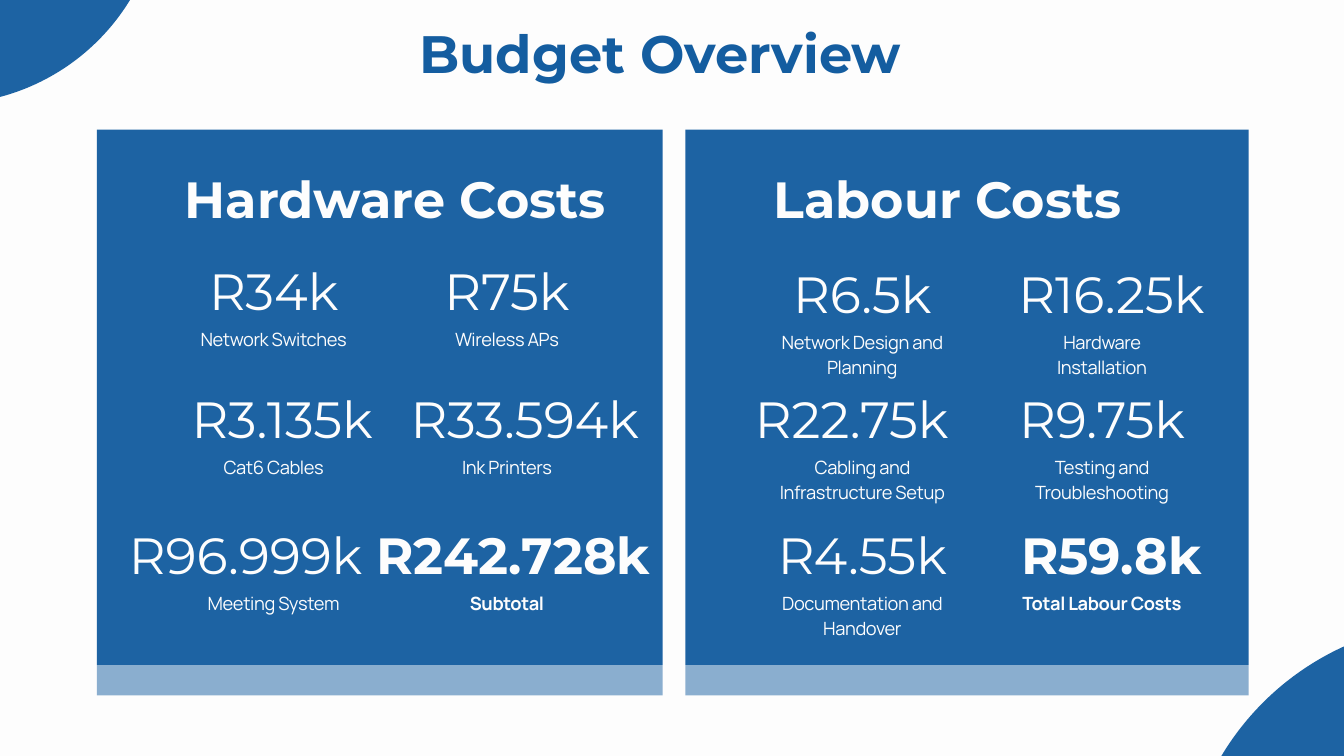
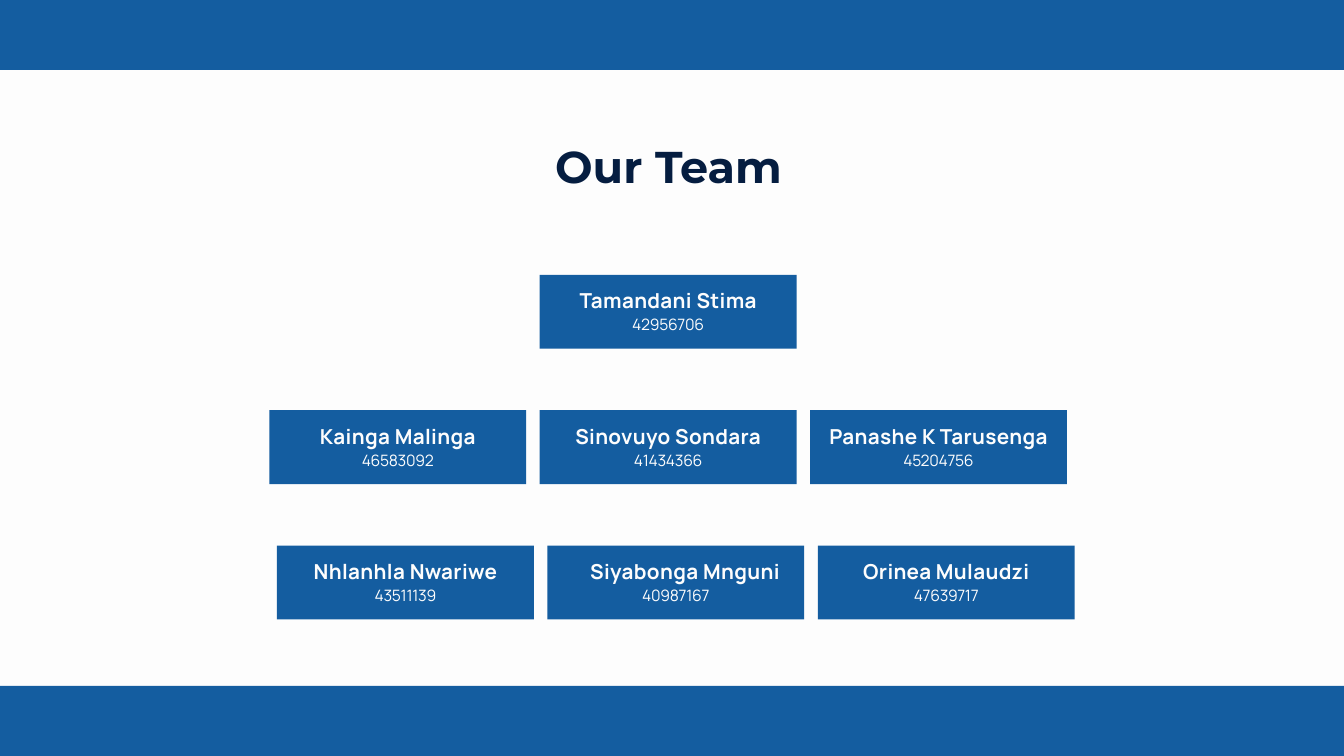
from collections import namedtuple

from lxml.etree import SubElement
from pptx import Presentation
from pptx.dml.color import RGBColor
from pptx.enum.shapes import MSO_SHAPE
from pptx.enum.text import MSO_ANCHOR, MSO_AUTO_SIZE, PP_ALIGN
from pptx.oxml.ns import qn
from pptx.util import Cm, Pt

BLUE = RGBColor(0x14, 0x5D, 0xA0)
NAVY = RGBColor(0x05, 0x1D, 0x40)
WHITE = RGBColor(0xFD, 0xFD, 0xFD)

# Text styles: sizes and line heights in points, spacing in hundredths of a point
Style = namedtuple("Style", "font size line color bold align spacing")
LEFT, CENTER = PP_ALIGN.LEFT, PP_ALIGN.CENTER
BUDGET_TITLE = Style("Montserrat", 56.4, 79, BLUE, True, LEFT, 0)
TEAM_TITLE = Style("Montserrat", 47.7, 66.8, NAVY, True, CENTER, 0)
HEADING = Style("Montserrat", 54.5, 76.3, WHITE, True, LEFT, 0)
AMOUNT = Style("Montserrat", 54.5, 76.3, WHITE, False, CENTER, 0)
LABEL = Style("Manrope", 19.6, 27.4, WHITE, False, CENTER, -40)
NAME = Style("Manrope", 22.1, 31, WHITE, True, CENTER, 40)
NUMBER = Style("Manrope", 16.8, 23.6, WHITE, False, CENTER, -30)


def add_block(slide, kind, left, top, width, height, opacity=100):
    shape = slide.shapes.add_shape(kind, Cm(left), Cm(top), Cm(width), Cm(height))
    shape.shadow.inherit = False
    shape.line.fill.background()
    shape.fill.solid()
    shape.fill.fore_color.rgb = BLUE
    if opacity < 100:
        color = shape.fill._xPr.find(qn("a:solidFill"))[0]
        SubElement(color, qn("a:alpha"), val=str(opacity * 1000))


def write(shape, left, top, width, height, text, style):
    shape.left, shape.top = Cm(left), Cm(top)
    shape.width, shape.height = Cm(width), Cm(height)
    frame = shape.text_frame
    frame.text = text
    frame.word_wrap = True
    frame.auto_size = MSO_AUTO_SIZE.NONE
    frame.vertical_anchor = MSO_ANCHOR.TOP
    frame.margin_left = frame.margin_right = frame.margin_top = frame.margin_bottom = 0
    paragraph = frame.paragraphs[0]
    paragraph.alignment = style.align
    paragraph.line_spacing = Pt(style.line)
    font = paragraph.runs[0].font
    font.name, font.size, font.bold = style.font, Pt(style.size), style.bold
    font.color.rgb = style.color
    if style.spacing:
        paragraph.runs[0]._r.get_or_add_rPr().set("spc", str(style.spacing))


presentation = Presentation()
presentation.slide_width, presentation.slide_height = Cm(50.8), Cm(28.58)
title_only = presentation.slide_layouts[5]
budget_slide = presentation.slides.add_slide(title_only)
team_slide = presentation.slides.add_slide(title_only)
for slide in (budget_slide, team_slide):
    slide.background.fill.solid()
    slide.background.fill.fore_color.rgb = WHITE

# Budget: title and corner circles
write(budget_slide.shapes.title, 15.85, 0.38, 19.1, 2.69, "Budget Overview", BUDGET_TITLE)
add_block(budget_slide, MSO_SHAPE.OVAL, 44.68, 23.5, 20.9, 20.9, 96)
add_block(budget_slide, MSO_SHAPE.OVAL, -10.34, -12.52, 16.46, 16.46, 96)

# Each panel: left, width, heading, heading width, top of first row,
# columns (left, width) and items (amount, label, amount left, amount width)
panels = [
    (3.66, 21.39, "Hardware Costs", 16.05, 9.45, [(6.98, 6.73), (15.8, 6.73)], [
        ("R34k", "Network Switches", 6.98, 6.73),
        ("R75k", "Wireless APs", 15.8, 6.73),
        ("R3.135k", "Cat6 Cables", 6.98, 7.37),
        ("R33.594k", "Ink Printers", 15.21, 9.25),
        ("R96.999k", "Meeting System", 4.22, 10.13),
        ("R242.728k", "Subtotal", 13.74, 11.33),
    ]),
    (25.91, 21.29, "Labour Costs", 13.74, 9.55, [(29.24, 6.71), (38.48, 6.35)], [
        ("R6.5k", "Network Design and Planning", 29.24, 6.71),
        ("R16.25k", "Hardware Installation", 38.48, 7.06),
        ("R22.75k", "Cabling and Infrastructure Setup", 28.45, 7.49),
        ("R9.75k", "Testing and Troubleshooting", 38.48, 6.35),
        ("R4.55k", "Documentation and Handover", 29.24, 6.71),
        ("R59.8k", "Total Labour Costs", 38.48, 7.06),
    ]),
]
for left, width, heading, heading_width, first_top, columns, items in panels:
    add_block(budget_slide, MSO_SHAPE.RECTANGLE, left, 4.9, width, 20.24, 96)
    add_block(budget_slide, MSO_SHAPE.RECTANGLE, left, 25.15, width, 1.14, 49)
    write(budget_slide.shapes.add_textbox(0, 0, 0, 0), columns[0][0], 5.94,
          heading_width, 2.62, heading, HEADING)
    row_tops = [first_top, 14.27, 19.41]
    for index, (amount, label, amount_left, amount_width) in enumerate(items):
        top = row_tops[index // 2]
        label_left, label_width = columns[index % 2]
        label_height = 1.91 if len(label) > 20 else 0.97
        is_total = index == len(items) - 1
        write(budget_slide.shapes.add_textbox(0, 0, 0, 0), amount_left, top,
              amount_width, 2.62, amount, AMOUNT._replace(bold=is_total))
        write(budget_slide.shapes.add_textbox(0, 0, 0, 0), label_left, top + 2.83,
              label_width, label_height, label, LABEL._replace(bold=is_total))

# Team: title and bands
write(team_slide.shapes.title, 14.55, 4.93, 21.44, 2.26, "Our Team", TEAM_TITLE)
for top, height in ((-2.26, 4.9), (25.93, 2.65)):
    add_block(team_slide, MSO_SHAPE.RECTANGLE, -4.9, top, 60.6, height)

# Team cards: row left, then members (name, number, name inset, name width)
CARD_WIDTH, CARD_HEIGHT, CARD_PITCH, ROW_PITCH = 9.71, 2.79, 10.22, 5.12
INSET, TEXT_WIDTH = 0.97, 7.77
team_rows = [
    (20.4, [("Tamandani Stima", "42956706", INSET, TEXT_WIDTH)]),
    (10.18, [("Kainga Malinga", "46583092", INSET, TEXT_WIDTH),
             ("Sinovuyo Sondara", "41434366", INSET, TEXT_WIDTH),
             ("Panashe K Tarusenga", "45204756", -0.15, 10.01)]),
    (10.47, [("Nhlanhla Nwariwe", "43511139", INSET, TEXT_WIDTH),
             ("Siyabonga Mnguni", "40987167", INSET, 8.46),
             ("Orinea Mulaudzi", "47639717", INSET, TEXT_WIDTH)]),
]
for row, (row_left, members) in enumerate(team_rows):
    top = 10.39 + row * ROW_PITCH
    for column, (name, number, name_inset, name_width) in enumerate(members):
        left = row_left + column * CARD_PITCH
        add_block(team_slide, MSO_SHAPE.RECTANGLE, left, top, CARD_WIDTH, CARD_HEIGHT)
        write(team_slide.shapes.add_textbox(0, 0, 0, 0), left + name_inset, top + 0.35,
              name_width, 1.09, name, NAME)
        write(team_slide.shapes.add_textbox(0, 0, 0, 0), left + INSET, top + 1.4,
              TEXT_WIDTH, 0.86, number, NUMBER)

presentation.save("out.pptx")
